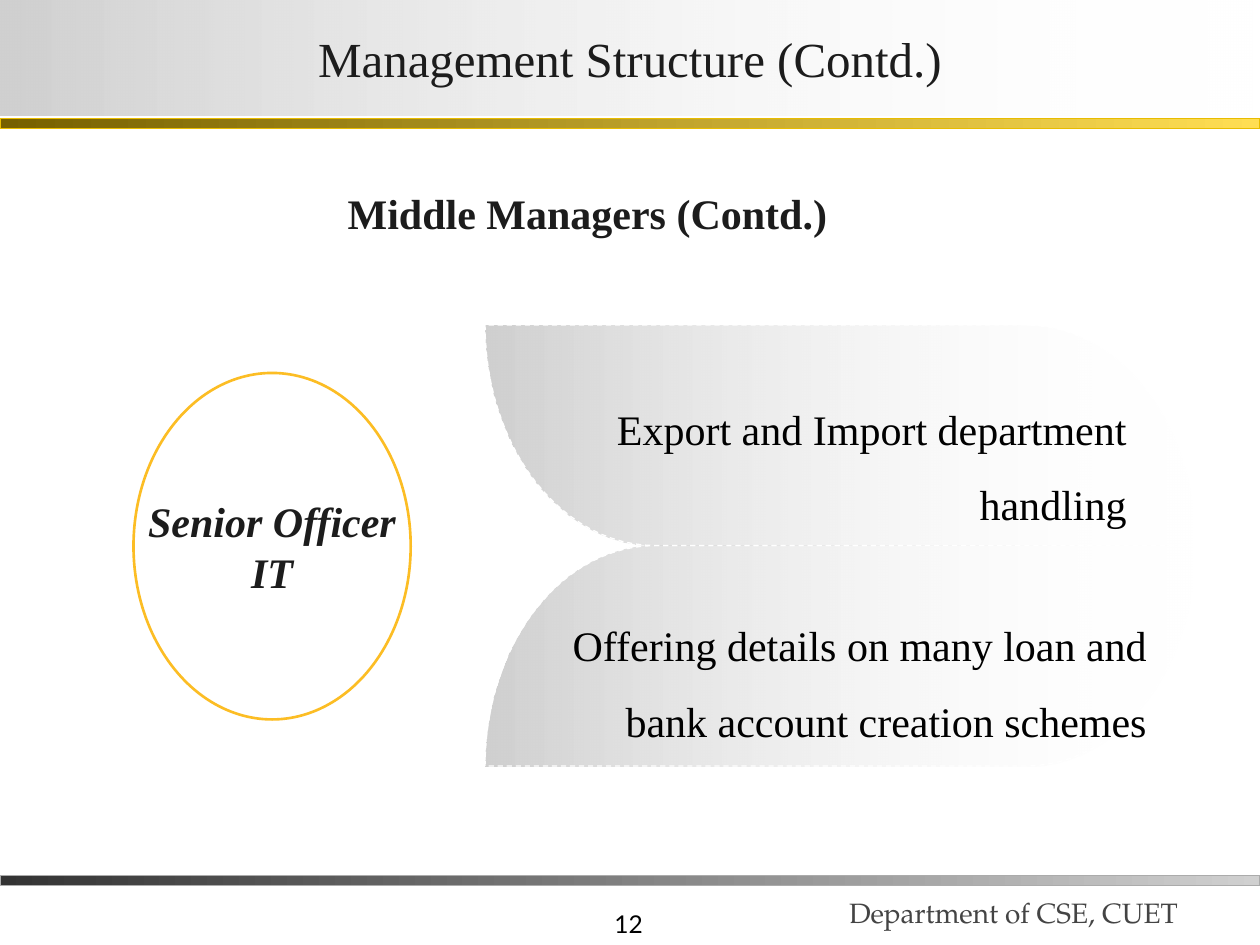
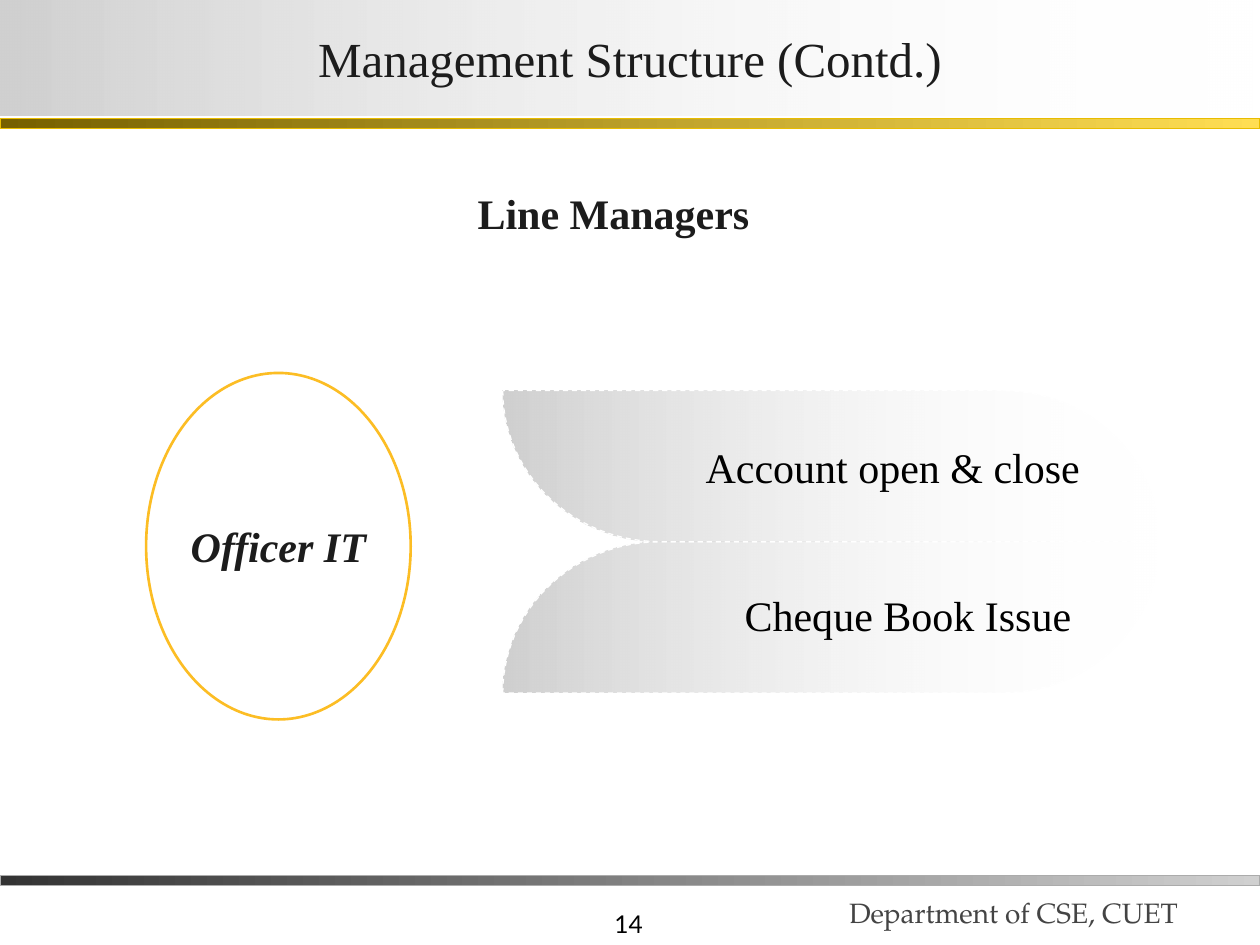
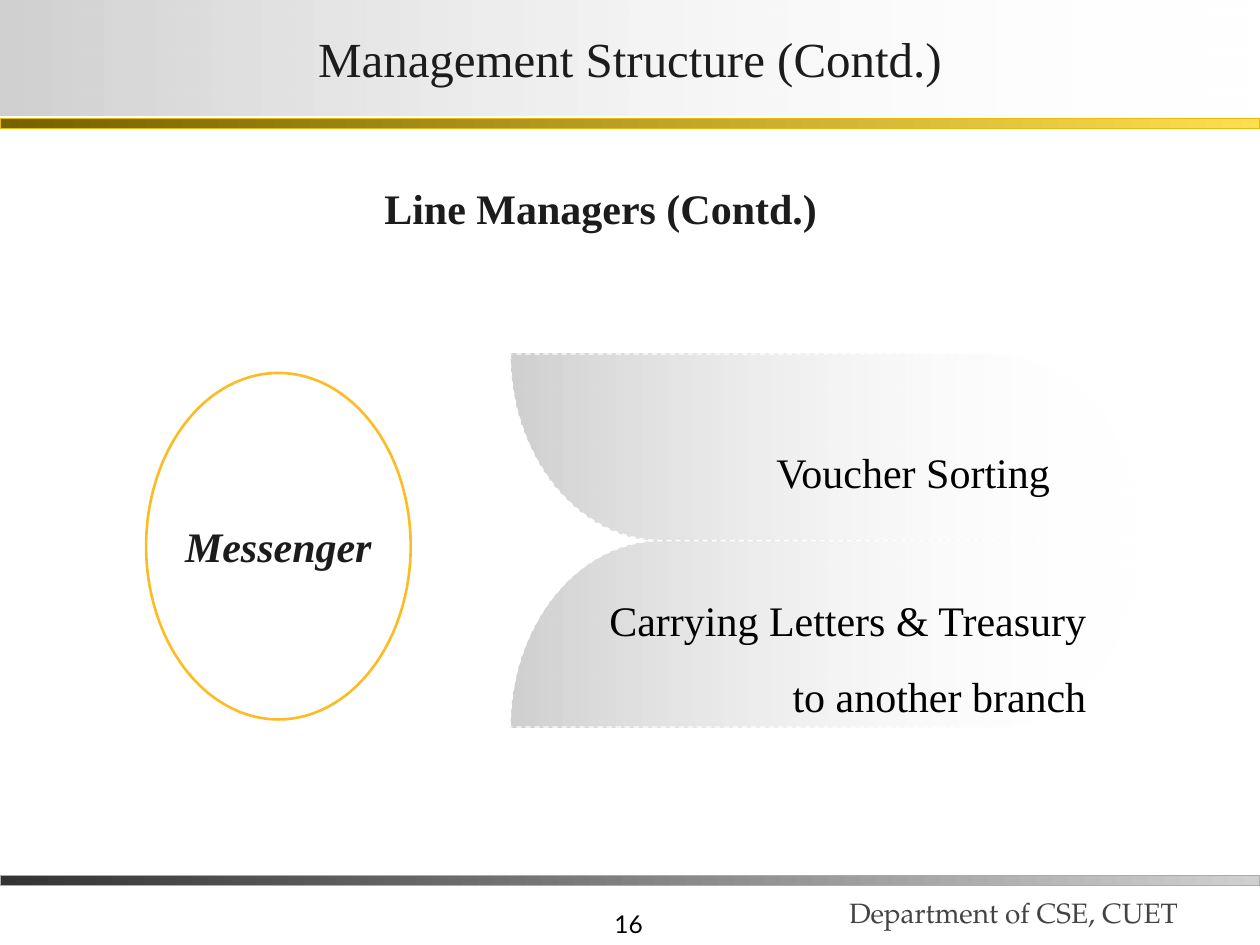
import math
from dataclasses import dataclass

from lxml import etree
from pptx import Presentation
from pptx.dml.color import RGBColor
from pptx.enum import dml, shapes, text
from pptx.oxml.ns import qn
from pptx.util import Inches, Pt


@dataclass(frozen=True)
class Theme:
    wide: float = 10
    high: float = 7.5
    serif: str = "Times New Roman"
    sans: str = "Lato"
    foot: str = "TeX Gyre Pagella"
    ink: str = "1C1C1C"
    black: str = "000000"
    soft: str = "444444"
    white: str = "FFFFFF"
    ring: str = "FCBD24"
    fade: tuple = ("D0D0D0", "FFFFFF")
    gold: tuple = ("766000", "FFDE53", "E8BC00")
    gray: tuple = ("333333", "D0D0D0", "ABABAB")
    title: int = 28
    body: int = 24
    dept: int = 16
    page: int = 14


T = Theme()
TITLE = "Management Structure (Contd.)"
DEPT = "Department of CSE, CUET"

# head: words, box left, box bottom, indent
# oval: words, left (the right edge is shared)
# petals: left, right, middle line, height, curve width
# notes: words, box, line spacing
SLIDES = [
    dict(page="12", head=("Middle Managers (Contd.)", 2.56, 1.89, 0.2),
         oval=("Senior Officer\vIT", 1.06),
         petals=(3.85, 9.49, 4.33, 1.75, 1.35),
         notes=[("Export and Import department handling",
                 (4.08, 2.9, 4.96, 1.21), 1.5),
                ("Offering details on many loan and bank account "
                 "creation schemes", (4.15, 4.62, 5.05, 1.21), 1.5)]),
    dict(page="14", head=("Line Managers", 2.89, 1.89, 0.9),
         oval=("Officer IT", 1.16),
         petals=(3.99, 9.2, 4.3, 1.2, 1.25),
         notes=[("Account open & close", (4.1, 3.4, 4.57, 0.61), 1),
                ("Cheque Book Issue", (3.95, 4.58, 4.65, 0.61), 1)]),
    dict(page="16", head=("Line Managers (Contd.)", 2.56, 1.85, 0.49),
         oval=("Messenger", 1.16),
         petals=(4.05, 9.06, 4.29, 1.48, 1.2),
         notes=[("Voucher Sorting", (4.64, 3.24, 3.79, 0.61), 1.5),
                ("Carrying Letters & Treasury to another branch",
                 (4.63, 4.42, 4.09, 1.21), 1.5)]),
]
OVAL_TOP, OVAL_RIGHT, OVAL_HIGH = 2.96, 3.26, 2.75
STEPS = 24

ALIGN = text.PP_ALIGN
ANCHOR = text.MSO_ANCHOR


def rgb(code):
    return RGBColor.from_string(code)


def write(shape, words, size, color, font=T.serif, align=ALIGN.LEFT,
          anchor=ANCHOR.TOP, pad=(0.1, 0.1, 0.1, 0.1), space=None,
          bold=False, slant=False, wrap=True):
    frame = shape.text_frame
    frame.text = words
    frame.word_wrap = wrap
    frame.vertical_anchor = anchor
    (frame.margin_left, frame.margin_top,
     frame.margin_right, frame.margin_bottom) = map(Inches, pad)
    for par in frame.paragraphs:
        par.alignment = align
        par.line_spacing = space
        for run in par.runs:
            face = run.font
            face.name, face.size = font, Pt(size)
            face.bold, face.italic = bold, slant
            face.color.rgb = rgb(color)


def label(slide, box, words, size, color, **style):
    area = slide.shapes.add_textbox(*map(Inches, box))
    write(area, words, size, color, **style)
    return area


def block(slide, kind, box):
    shape = slide.shapes.add_shape(kind, *map(Inches, box))
    shape.shadow.inherit = False
    return shape


def edge(shape, color, width=0.75):
    shape.line.color.rgb = rgb(color)
    shape.line.width = Pt(width)


def shade(shape, start, end, clear=False):
    """Fill from left to right; clear makes the far end transparent."""
    fill = shape.fill
    fill.gradient()
    fill.gradient_angle = 0
    for stop, color in zip(fill.gradient_stops, (start, end)):
        stop.color.rgb = rgb(color)
    if clear:
        tone = list(shape._element.spPr.iter(qn("a:srgbClr")))[-1]
        etree.SubElement(tone, qn("a:alpha")).set("val", "0")


def band(slide, top, tones):
    start, end, rim = tones
    bar = block(slide, shapes.MSO_SHAPE.RECTANGLE, (0, top, T.wide, 0.08))
    shade(bar, start, end)
    edge(bar, rim)


def frame(slide, page):
    """Draw what every slide shares."""
    pad = (0.1, 0.05, 0.1, 0.05)
    label(slide, (3.12, 7, 2.08, 0.5), page, T.page, T.black, font=T.sans,
          align=ALIGN.RIGHT, anchor=ANCHOR.BOTTOM, pad=pad)
    label(slide, (6.64, 6.8, 3.44, 0.62), DEPT, T.dept, T.soft, font=T.foot,
          anchor=ANCHOR.BOTTOM, pad=pad)
    band(slide, 6.95, T.gray)
    band(slide, 0.94, T.gold)
    top = block(slide, shapes.MSO_SHAPE.RECTANGLE, (0, 0, T.wide, 0.92))
    shade(top, *T.fade, clear=True)
    top.line.fill.background()
    write(top, TITLE, T.title, T.ink, align=ALIGN.CENTER,
          anchor=ANCHOR.MIDDLE, pad=(0.02, 0.01, 0.02, 0.01))


def petal(slide, left, right, mid, far, curve):
    """Draw a leaf between its far side and the middle line."""
    turns = [math.pi / 2 * i / STEPS for i in range(STEPS + 1)]
    rise = mid - far
    near = [(left + curve * (1 - math.cos(a)), far + rise * math.sin(a))
            for a in turns]
    tip = [(right - curve * (1 - math.cos(a)), mid - rise * math.sin(a))
           for a in turns]
    dots = [(Inches(x), Inches(y)) for x, y in near + tip]
    pen = slide.shapes.build_freeform(*dots[0])
    pen.add_line_segments(dots[1:], close=True)
    leaf = pen.convert_to_shape()
    leaf.shadow.inherit = False
    shade(leaf, *T.fade, clear=True)
    edge(leaf, T.white)
    leaf.line.dash_style = dml.MSO_LINE.DASH


def build(slide, data):
    frame(slide, data["page"])
    words, left, base, inset = data["head"]
    label(slide, (left, base - 0.71, 4.51, 0.71), words, T.body, T.ink,
          bold=True, anchor=ANCHOR.BOTTOM, pad=(inset, 0, 0.1, 0))

    left, right, mid, high, curve = data["petals"]
    for far in (mid + high, mid - high):
        petal(slide, left, right, mid, far, curve)
    for words, box, space in data["notes"]:
        note = label(slide, box, words, T.body, T.black,
                     align=ALIGN.RIGHT, space=space)
        note.text_frame.auto_size = text.MSO_AUTO_SIZE.SHAPE_TO_FIT_TEXT

    words, left = data["oval"]
    oval = block(slide, shapes.MSO_SHAPE.OVAL,
                 (left, OVAL_TOP, OVAL_RIGHT - left, OVAL_HIGH))
    oval.fill.solid()
    oval.fill.fore_color.rgb = rgb(T.white)
    edge(oval, T.ring, 1.5)
    write(oval, words, T.body, T.ink, align=ALIGN.CENTER,
          anchor=ANCHOR.MIDDLE, bold=True, slant=True, wrap=False)


def main():
    deck = Presentation()
    deck.slide_width, deck.slide_height = Inches(T.wide), Inches(T.high)
    for data in SLIDES:
        build(deck.slides.add_slide(deck.slide_layouts[6]), data)
    deck.save("out.pptx")


if __name__ == "__main__":
    main()
